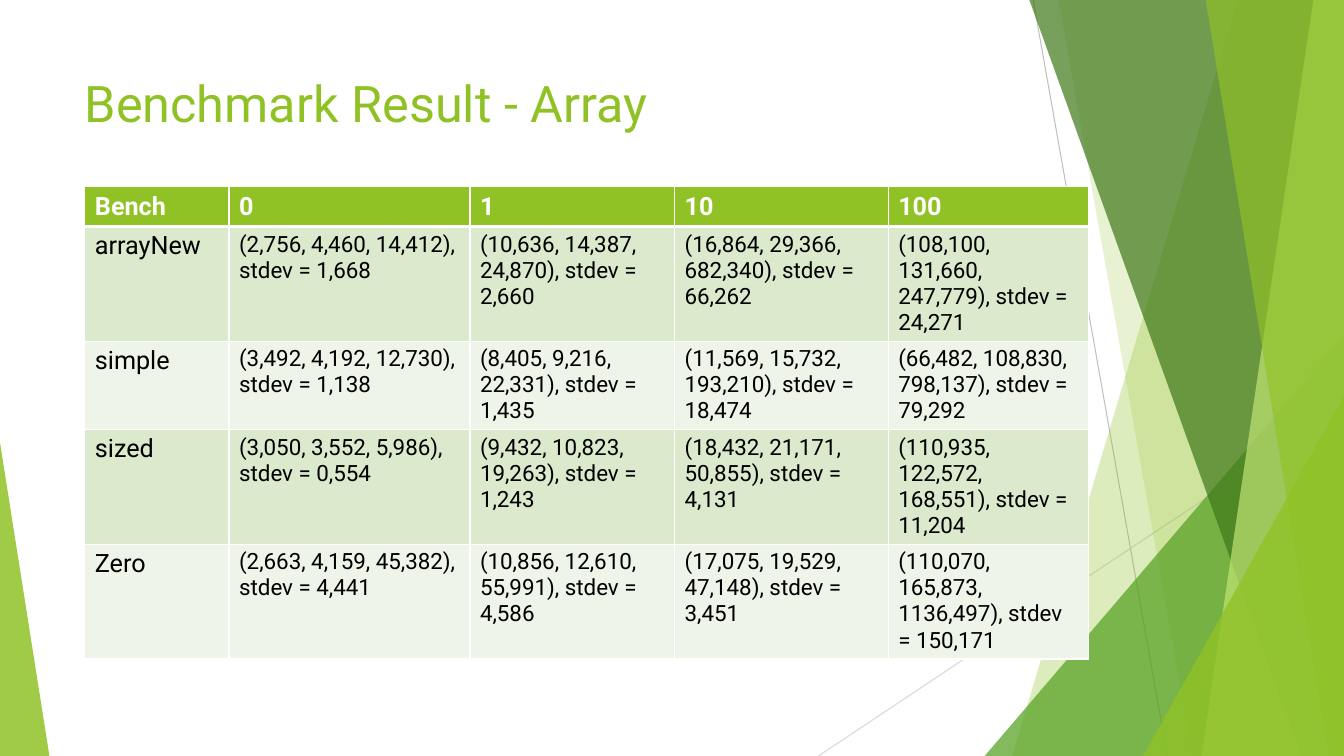
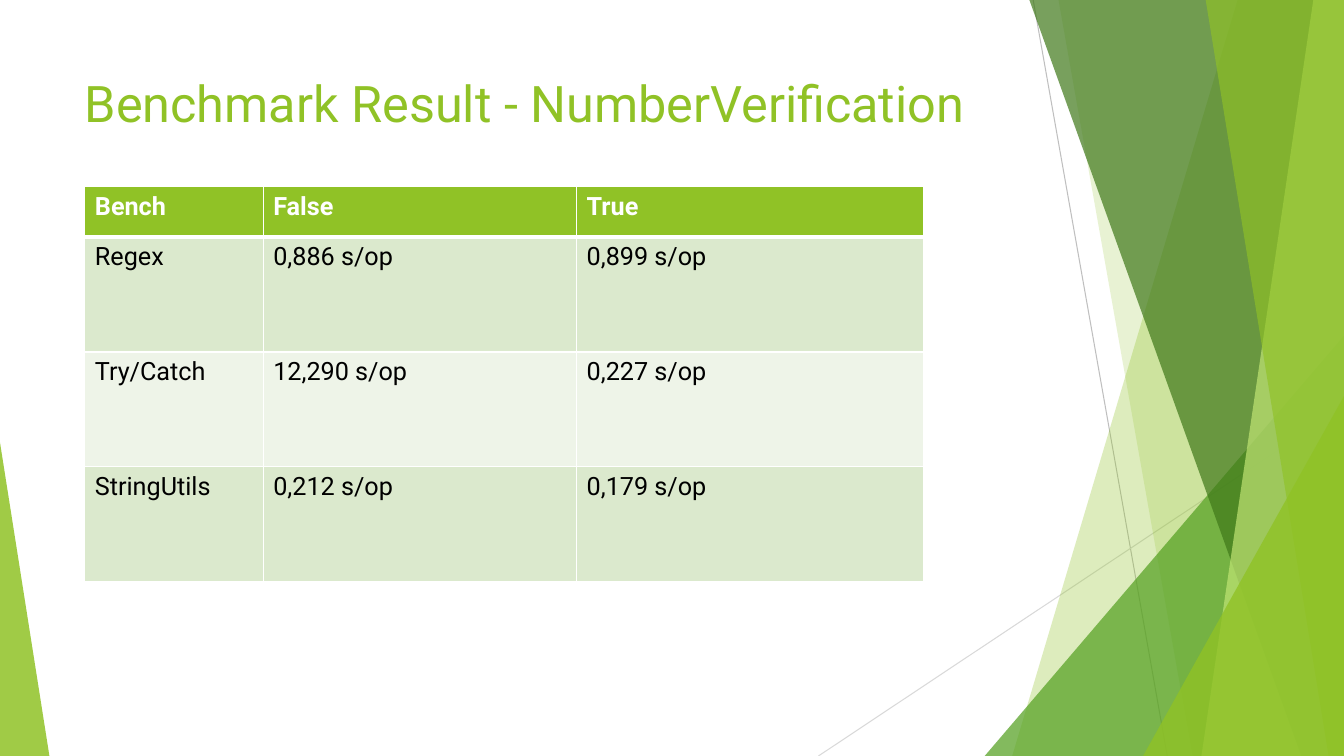
from lxml import etree
from pptx import Presentation
from pptx.dml.color import RGBColor
from pptx.enum.shapes import MSO_CONNECTOR, MSO_SHAPE
from pptx.enum.text import MSO_ANCHOR, MSO_AUTO_SIZE, PP_ALIGN
from pptx.oxml import parse_xml
from pptx.oxml.ns import nsdecls, qn
from pptx.util import Pt

# Shared look
WIDTH, HEIGHT = 960, 540
FONT = "Roboto"
LIME = RGBColor(0x90, 0xC2, 0x26)
PALE_LIME = RGBColor(0xC0, 0xE4, 0x74)
GREEN = RGBColor(0x54, 0xA0, 0x21)
DARK_GREEN = RGBColor(0x3F, 0x78, 0x19)
GRAY = RGBColor(0xBF, 0xBF, 0xBF)
LIGHT_GRAY = RGBColor(0xD9, 0xD9, 0xD9)
BAND_DARK = RGBColor(0xDB, 0xE9, 0xCD)
BAND_LIGHT = RGBColor(0xEE, 0xF4, 0xE8)
WHITE = RGBColor(0xFF, 0xFF, 0xFF)
BLACK = RGBColor(0, 0, 0)

TITLE_BOX = (53.3, 48.2, 676.8, 66.2)
TABLE_LEFT, TABLE_TOP = 60.6, 133.4

HAIRLINES = [  # x1, y1, x2, y2, colour
    (738, 0, 833.8, HEIGHT, GRAY),
    (WIDTH, 290.2, 584.6, HEIGHT, LIGHT_GRAY),
]
# Facets, back to front: a slab runs from its top x and bottom x to the
# right edge; a triangle has a box and the place of its apex.
FACETS = [  # geometry, colour, opacity in percent
    ((884.2, 723), LIME, 30),
    ((756, 851.8), LIME, 20),
    ((703.4, 239.8, 256.6, 300.2, 1), GREEN, 72),
    ((735.1, 929.5), DARK_GREEN, 70),
    ((938.2, 858.2), PALE_LIME, 70),
    ((861.1, 949), LIME, 65),
    ((816.5, 283, 143.5, 257, 1), LIME, 80),
    ((0, 316.1, 35.3, 223.9, 0), LIME, 85),
]


def add_hairline(shapes, x1, y1, x2, y2, color):
    line = shapes.add_connector(MSO_CONNECTOR.STRAIGHT,
                                Pt(x1), Pt(y1), Pt(x2), Pt(y2))
    line.line.color.rgb = color
    line.line.width = Pt(0.75)
    etree.SubElement(line.element.spPr, qn("a:effectLst"))


def add_slab(shapes, top_x, bottom_x):
    outline = shapes.build_freeform(Pt(top_x), Pt(-0.6))
    outline.add_line_segments([(Pt(WIDTH), Pt(-0.6)), (Pt(WIDTH), Pt(HEIGHT)),
                               (Pt(bottom_x), Pt(HEIGHT))], close=True)
    return outline.convert_to_shape()


def add_triangle(shapes, x, y, w, h, apex):
    sp = shapes.add_shape(MSO_SHAPE.ISOSCELES_TRIANGLE,
                          Pt(x), Pt(y), Pt(w), Pt(h))
    sp.adjustments[0] = apex
    return sp


def add_facet(shapes, geometry, color, opacity):
    add = add_slab if len(geometry) == 2 else add_triangle
    sp = add(shapes, *geometry)
    sp.shadow.inherit = False
    sp.fill.solid()
    sp.fill.fore_color.rgb = color
    clr = sp.element.spPr.find(".//" + qn("a:srgbClr"))
    etree.SubElement(clr, qn("a:alpha")).set("val", str(opacity * 1000))
    sp.line.fill.background()


def add_backdrop(slide):
    """Draw the facets once and hand them to the slide's layout."""
    group = slide.shapes.add_group_shape()
    for hairline in HAIRLINES:
        add_hairline(group.shapes, *hairline)
    for facet in FACETS:
        add_facet(group.shapes, *facet)
    # Behind the layout's placeholders
    slide.slide_layout.shapes.element.insert(2, group.element)


def set_title(slide, text, box):
    title = slide.shapes.title
    title.left, title.top, title.width, title.height = map(Pt, box)
    tf = title.text_frame
    tf.text = text
    tf.word_wrap = True
    tf.auto_size = MSO_AUTO_SIZE.NONE
    tf.vertical_anchor = MSO_ANCHOR.TOP
    p = tf.paragraphs[0]
    p.alignment = PP_ALIGN.LEFT
    p.font.name, p.font.size = FONT, Pt(36)
    p.font.color.rgb = LIME


def add_borders(cell, header):
    widths = {"lnL": 1, "lnR": 1, "lnT": 1, "lnB": 3 if header else 1}
    if not header:
        del widths["lnT"]  # the row above draws this edge
    tcPr = cell._tc.get_or_add_tcPr()
    for tag, width in widths.items():
        tcPr.append(parse_xml(
            f'<a:{tag} {nsdecls("a")} w="{Pt(width)}"><a:solidFill>'
            f'<a:srgbClr val="{WHITE}"/></a:solidFill></a:{tag}>'))


def fill_cell(cell, text, size, header, fill):
    add_borders(cell, header)
    cell.fill.solid()
    cell.fill.fore_color.rgb = fill
    cell.text = text
    font = cell.text_frame.paragraphs[0].font
    font.name, font.size, font.bold = FONT, Pt(size), header
    font.color.rgb = WHITE if header else BLACK


def add_bench_table(slide, left, top, widths, heights, rows, value_size):
    table = slide.shapes.add_table(
        len(rows), len(widths), Pt(left), Pt(top),
        Pt(sum(widths)), Pt(sum(heights))).table
    for column, width in zip(table.columns, widths):
        column.width = Pt(width)
    for i, (row, height, texts) in enumerate(zip(table.rows, heights, rows)):
        row.height = Pt(height)
        header = i == 0
        fill = LIME if header else BAND_DARK if i % 2 else BAND_LIGHT
        for j, (cell, text) in enumerate(zip(row.cells, texts)):
            size = 18 if header or j == 0 else value_size
            fill_cell(cell, text, size, header, fill)


def add_bench_slide(prs, title, **table):
    slide = prs.slides.add_slide(prs.slide_layouts[5])
    set_title(slide, title, TITLE_BOX)
    add_bench_table(slide, TABLE_LEFT, TABLE_TOP, **table)
    return slide


ARRAY_ROWS = [
    ("Bench", "0", "1", "10", "100"),
    ("arrayNew", "(2,756, 4,460, 14,412), stdev = 1,668",
     "(10,636, 14,387, 24,870), stdev = 2,660",
     "(16,864, 29,366, 682,340), stdev = 66,262",
     "(108,100, 131,660, 247,779), stdev = 24,271"),
    ("simple", "(3,492, 4,192, 12,730), stdev = 1,138",
     "(8,405, 9,216, 22,331), stdev = 1,435",
     "(11,569, 15,732, 193,210), stdev = 18,474",
     "(66,482, 108,830, 798,137), stdev = 79,292"),
    ("sized", "(3,050, 3,552, 5,986), stdev = 0,554",
     "(9,432, 10,823, 19,263), stdev = 1,243",
     "(18,432, 21,171, 50,855), stdev = 4,131",
     "(110,935, 122,572, 168,551), stdev = 11,204"),
    ("Zero", "(2,663, 4,159, 45,382), stdev = 4,441",
     "(10,856, 12,610, 55,991), stdev = 4,586",
     "(17,075, 19,529, 47,148), stdev = 3,451",
     "(110,070, 165,873, 1136,497), stdev = 150,171"),
]
VERIFICATION_ROWS = [
    ("Bench", "False", "True"),
    ("Regex", "0,886 s/op", "0,899 s/op"),
    ("Try/Catch", "12,290 s/op", "0,227 s/op"),
    ("StringUtils", "0,212 s/op", "0,179 s/op"),
]


def main():
    prs = Presentation()
    prs.slide_width, prs.slide_height = Pt(WIDTH), Pt(HEIGHT)
    first = add_bench_slide(
        prs, "Benchmark Result - Array", rows=ARRAY_ROWS, value_size=16,
        widths=(103, 172.1, 146.2, 152.6, 143.3),
        heights=(28, 82, 63, 82, 82))
    add_backdrop(first)
    add_bench_slide(
        prs, "Benchmark Result - NumberVerification",
        rows=VERIFICATION_ROWS, value_size=18,
        widths=(127.4, 223.9, 247.7), heights=(36, 82, 82, 82))
    prs.save("out.pptx")


if __name__ == "__main__":
    main()
